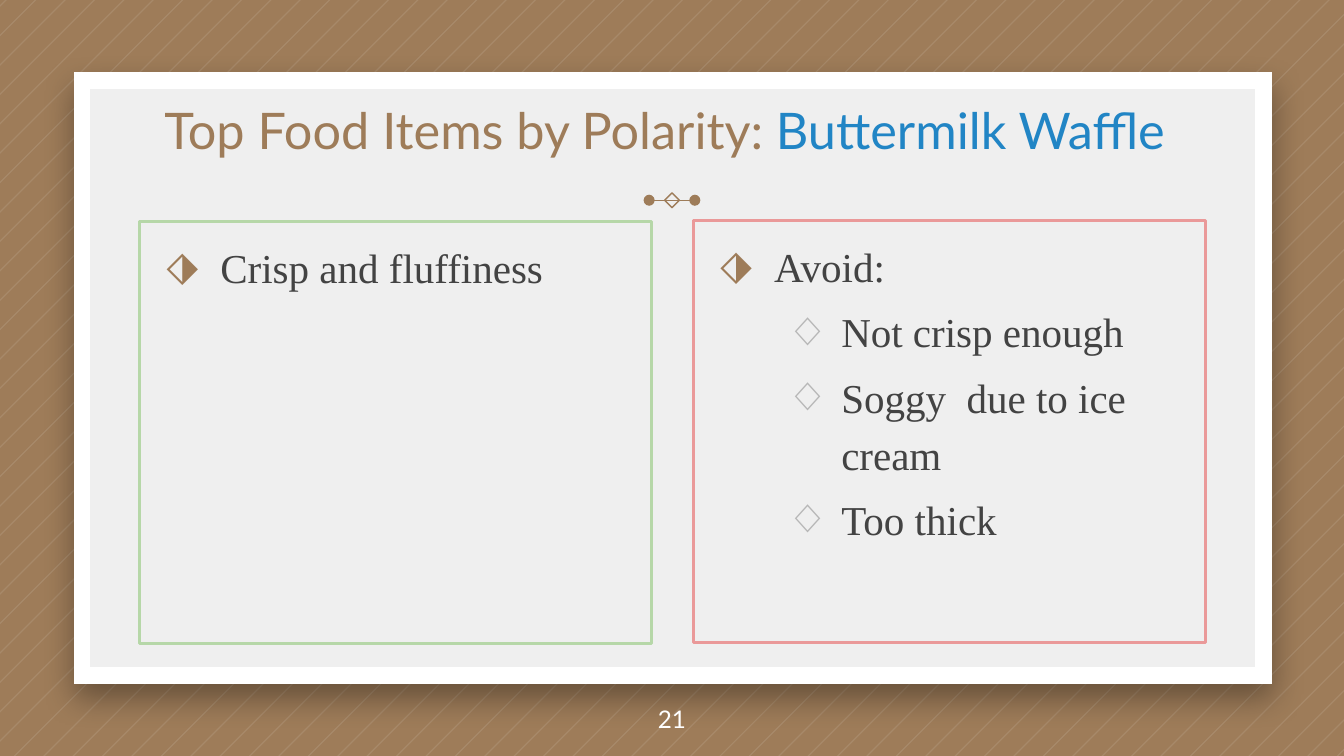
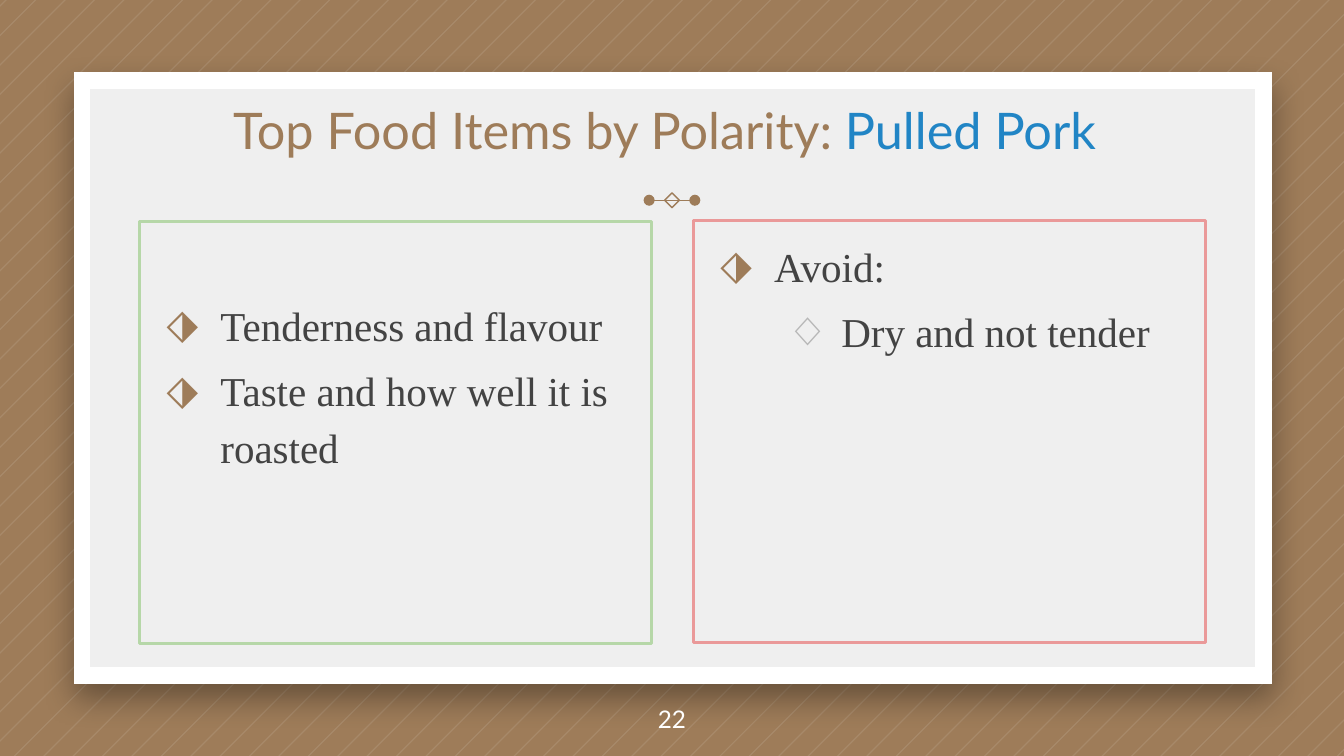
import pptx
import pptx.dml.color
import pptx.enum.shapes
import pptx.enum.text
import pptx.oxml
import pptx.oxml.ns
import pptx.util
import lxml.etree

BROWN, PAPER, WHITE, INK = "9E7C59", "EFEFEF", "FFFFFF", "434343"
BLUE, GREEN, RED, GREY = "2185C5", "B6D7A8", "EA9999", "B7B7B7"
HEADING_FONT, BODY_FONT = "Lato", "Times New Roman"
COLUMNS, ROWS = 100, 56.25
TWO_CONTENT_LAYOUT = 3
STRIPE_COUNT, STRIPE_START, STRIPE_STEP, STRIPE_WIDTH = 72, 0.4, 175 / 80, 0.13
BULLETS = [("⬗", BROWN, 0.5), ("◇", GREY, 1.0)]
LINE_HEIGHT = 0.43

PAGES = [
    (21, "Buttermilk Waffle",
     [("Crisp and fluffiness", 0)], 0,
     [("Avoid:", 0), ("Not crisp enough", 1),
      ("Soggy  due to ice cream", 1), ("Too thick", 1)]),
    (22, "Pulled Pork",
     [("Tenderness and flavour", 0), ("Taste and how well it is roasted", 0)], 1,
     [("Avoid:", 0), ("Dry and not tender", 1)]),
]


def rgb(value):
    return pptx.dml.color.RGBColor.from_string(value)


def add_xml(parent, tag, **attributes):
    element = lxml.etree.SubElement(parent, pptx.oxml.ns.qn(tag))
    for name, value in attributes.items():
        element.set(name, str(value))
    return element


def find_xml(shape, tag):
    return next(shape.element.spPr.iter(pptx.oxml.ns.qn(tag)))


class Deck:
    def __init__(self):
        self.presentation = pptx.Presentation()
        self.presentation.slide_width = pptx.util.Inches(10)
        self.presentation.slide_height = pptx.util.Inches(5.625)
        self.layout = self.presentation.slide_layouts[TWO_CONTENT_LAYOUT]
        self.slide = None

    def add_slide(self):
        self.slide = self.presentation.slides.add_slide(self.layout)

    def x(self, columns):
        return round(self.presentation.slide_width * columns / COLUMNS)

    def y(self, rows):
        return round(self.presentation.slide_height * rows / ROWS)

    def bounds(self, left, top, width, height):
        return self.x(left), self.y(top), self.x(width), self.y(height)

    def style_line(self, line, color, points):
        line.color.rgb = rgb(color)
        line.width = pptx.util.Pt(points)

    def style_run(self, run, font, size, color):
        run.font.name = font
        run.font.size = pptx.util.Pt(size)
        run.font.color.rgb = rgb(color)

    def style_frame(self, frame, anchor, top=0.1):
        frame.word_wrap = True
        frame.auto_size = pptx.enum.text.MSO_AUTO_SIZE.NONE
        frame.vertical_anchor = anchor
        frame.margin_left = frame.margin_right = pptx.util.Inches(0.1)
        frame.margin_top = pptx.util.Inches(top)
        frame.margin_bottom = pptx.util.Inches(0.1)

    def place(self, shape, *box):
        shape.left, shape.top, shape.width, shape.height = self.bounds(*box)

    def edge_points(self, offset):
        upper = (min(offset, COLUMNS), max(0, offset - COLUMNS))
        lower = (max(0, offset - ROWS), min(offset, ROWS))
        return [(self.x(column), self.y(row)) for column, row in (upper, lower)]

    def stripes(self):
        builder = None
        for index in range(STRIPE_COUNT):
            offset = STRIPE_START + index * STRIPE_STEP
            start, *rest = (self.edge_points(offset)
                            + self.edge_points(offset + STRIPE_WIDTH)[::-1])
            if builder is None:
                builder = self.slide.shapes.build_freeform(*start)
            else:
                builder.move_to(*start)
            builder.add_line_segments(rest, close=True)
        shape = builder.convert_to_shape()
        shape.shadow.inherit = False
        shape.fill.solid()
        shape.fill.fore_color.rgb = rgb(WHITE)
        add_xml(find_xml(shape, "a:srgbClr"), "a:alpha", val=10000)
        shape.line.fill.background()
        return shape

    def panel(self, *box):
        shape = self.slide.shapes.add_shape(
            pptx.enum.shapes.MSO_SHAPE.RECTANGLE, *self.bounds(*box))
        shape.fill.solid()
        shape.fill.fore_color.rgb = rgb(PAPER)
        self.style_line(shape.line, WHITE, 9)
        add_xml(find_xml(shape, "a:ln"), "a:miter", lim=800000)
        shape.shadow.inherit = False
        shadow = add_xml(find_xml(shape, "a:effectLst"), "a:outerShdw",
                         blurRad=pptx.util.Pt(16.9), dist=pptx.util.Pt(7.5),
                         dir=5400000, algn="t", rotWithShape=0)
        add_xml(add_xml(shadow, "a:srgbClr", val="000000"), "a:alpha", val=35000)
        return shape

    def ornament(self, center, row, reach, size):
        group = self.slide.shapes.add_group_shape()
        connector = group.shapes.add_connector(
            pptx.enum.shapes.MSO_CONNECTOR.STRAIGHT,
            self.x(center - reach), self.y(row), self.x(center + reach), self.y(row))
        self.style_line(connector.line, BROWN, 0.75)
        for end in ("a:headEnd", "a:tailEnd"):
            add_xml(find_xml(connector, "a:ln"), end, type="oval")
        add_xml(connector.element.spPr, "a:effectLst")
        diamond = group.shapes.add_shape(
            pptx.enum.shapes.MSO_SHAPE.DIAMOND,
            *self.bounds(center - size / 2, row - size / 2, size, size))
        diamond.shadow.inherit = False
        diamond.fill.background()
        self.style_line(diamond.line, BROWN, 0.75)
        return group

    def decorate_layout(self):
        fill = self.layout.background.fill
        fill.solid()
        fill.fore_color.rgb = rgb(BROWN)
        tree = self.layout.shapes.element
        for placeholder in list(self.layout.placeholders)[3:]:
            tree.remove(placeholder.element)
        for shape in (self.stripes(), self.panel(6.1, 6, 87.9, 44.3),
                      self.ornament(50, 14.9, 1.7, 1.1)):
            tree.append(shape.element)

    def title(self, item):
        shape = self.slide.shapes.title
        self.place(shape, 9.8, 3.5, 79.3, 9.4)
        self.style_frame(shape.text_frame, pptx.enum.text.MSO_ANCHOR.BOTTOM)
        paragraph = shape.text_frame.paragraphs[0]
        paragraph.alignment = pptx.enum.text.PP_ALIGN.CENTER
        for text, color in (("Top Food Items by Polarity: ", BROWN), (item, BLUE)):
            run = paragraph.add_run()
            run.text = text
            self.style_run(run, HEADING_FONT, 27, color)

    def page_number(self, number):
        shape = self.slide.shapes.add_textbox(*self.bounds(0, 50.8, COLUMNS, 5.4))
        self.style_frame(shape.text_frame, pptx.enum.text.MSO_ANCHOR.MIDDLE)
        paragraph = shape.text_frame.paragraphs[0]
        paragraph.text = str(number)
        paragraph.alignment = pptx.enum.text.PP_ALIGN.CENTER
        self.style_run(paragraph.runs[0], HEADING_FONT, 13, WHITE)

    def opinion_box(self, index, left, top, color, items, skipped_lines=0):
        shape = self.slide.placeholders[index]
        self.place(shape, left, top, 38.1, 31.4)
        self.style_line(shape.line, color, 1.5)
        frame = shape.text_frame
        self.style_frame(frame, pptx.enum.text.MSO_ANCHOR.TOP,
                         0.1 + skipped_lines * LINE_HEIGHT)
        frame.text = "\n".join(text for text, level in items)
        for position, (paragraph, (text, level)) in enumerate(zip(frame.paragraphs, items)):
            character, bullet_color, indent = BULLETS[level]
            paragraph.level = level
            properties = paragraph._p.get_or_add_pPr()
            properties.set("marL", str(pptx.util.Inches(indent)))
            properties.set("indent", str(pptx.util.Inches(-0.4)))
            add_xml(add_xml(properties, "a:buClr"), "a:srgbClr", val=bullet_color)
            add_xml(properties, "a:buFont", typeface=BODY_FONT)
            add_xml(properties, "a:buChar", char=character)
            paragraph.line_spacing = 1.15
            paragraph.space_before = pptx.util.Pt(4.8 if position else 0)
            self.style_run(paragraph.runs[0], BODY_FONT, 22, INK)


def main():
    deck = Deck()
    for position, (number, item, praise, skipped_lines, complaints) in enumerate(PAGES):
        deck.add_slide()
        if position == 0:
            deck.decorate_layout()
        deck.title(item)
        deck.page_number(number)
        deck.opinion_box(1, 10.4, 16.5, GREEN, praise, skipped_lines)
        deck.opinion_box(2, 51.6, 16.4, RED, complaints)
    deck.presentation.save("out.pptx")


if __name__ == "__main__":
    main()
